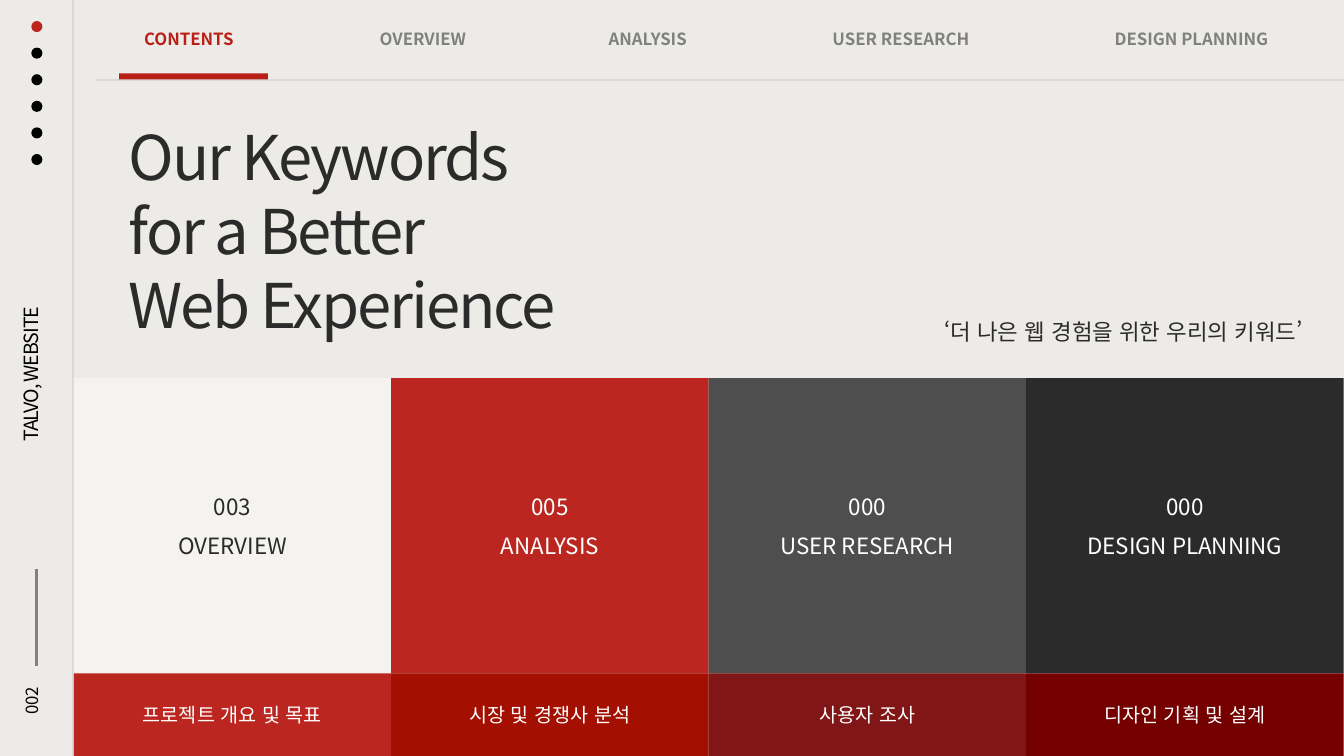
from typing import NamedTuple

from lxml import etree
from pptx import Presentation
from pptx.dml.color import RGBColor
from pptx.enum.lang import MSO_LANGUAGE_ID
from pptx.enum.shapes import MSO_CONNECTOR, MSO_SHAPE
from pptx.enum.text import MSO_ANCHOR, MSO_AUTO_SIZE, PP_ALIGN
from pptx.oxml.ns import qn
from pptx.util import Cm, Pt

RECTANGLE, OVAL = MSO_SHAPE.RECTANGLE, MSO_SHAPE.OVAL
STRAIGHT = MSO_CONNECTOR.STRAIGHT
TOP, MIDDLE = MSO_ANCHOR.TOP, MSO_ANCHOR.MIDDLE
LEFT, CENTER, RIGHT = PP_ALIGN.LEFT, PP_ALIGN.CENTER, PP_ALIGN.RIGHT
FIT_SHAPE = MSO_AUTO_SIZE.SHAPE_TO_FIT_TEXT
KOREAN = MSO_LANGUAGE_ID.KOREAN

FONT = "Noto Sans CJK KR"
PAPER = RGBColor(0xED, 0xEB, 0xE7)
IVORY = RGBColor(0xF4, 0xF3, 0xF0)
WHITE = RGBColor(0xFF, 0xFF, 0xFF)
BLACK = RGBColor(0x00, 0x00, 0x00)
INK = RGBColor(0x2B, 0x2B, 0x2B)
CHARCOAL = RGBColor(0x4E, 0x4E, 0x4E)
GRAY = RGBColor(0x80, 0x80, 0x80)
RULE = RGBColor(0xD9, 0xD9, 0xD9)
DOT_RED = RGBColor(0xBB, 0x25, 0x1E)
NAV_RED = RGBColor(0xB9, 0x1F, 0x17)
CARD_RED = RGBColor(0xBB, 0x27, 0x20)
BRICK = RGBColor(0xA3, 0x0F, 0x00)
WINE = RGBColor(0x80, 0x16, 0x16)
MAROON = RGBColor(0x75, 0x00, 0x00)

WIDTH, HEIGHT = 33.87, 19.05
DOT_COUNT, DOT_SIZE, DOT_PITCH = 6, 0.28, 0.67
CARD_LEFT, CARD_TOP, CARD_WIDTH, CARD_HEIGHT = 1.86, 9.53, 8.0, 7.44
FOOTER_TOP = CARD_TOP + CARD_HEIGHT
CARD_INSET = 1.03


class Box(NamedTuple):
    left: float
    top: float
    width: float
    height: float

    def lengths(self) -> list[Cm]:
        return [Cm(value) for value in self]


class Style(NamedTuple):
    size: float
    color: RGBColor
    bold: bool = False
    spacing: float = 0
    align: PP_ALIGN = LEFT
    anchor: MSO_ANCHOR = TOP
    gap: float = 0


class NavItem(NamedTuple):
    label: str
    left: float
    width: float
    color: RGBColor = GRAY


class Card(NamedTuple):
    number: str
    label: str
    caption: str
    fill: RGBColor
    footer_fill: RGBColor
    color: RGBColor = WHITE


NAV_ITEMS = [
    NavItem("CONTENTS", 3.38, 2.97, NAV_RED),
    NavItem("OVERVIEW", 9.32, 2.82),
    NavItem("ANALYSIS", 15.09, 2.69),
    NavItem("USER RESEARCH", 20.73, 4.14),
    NavItem("DESIGN PLANNING", 27.84, 4.52),
]
CARDS = [
    Card("003", "OVERVIEW", "프로젝트 개요 및 목표", IVORY, CARD_RED, INK),
    Card("005", "ANALYSIS", "시장 및 경쟁사 분석", CARD_RED, BRICK),
    Card("000", "USER RESEARCH", "사용자 조사", CHARCOAL, WINE),
    Card("000", "DESIGN PLANNING", "디자인 기획 및 설계", INK, MAROON),
]


def add_filled(shapes, kind: MSO_SHAPE, box: Box, color: RGBColor) -> None:
    shape = shapes.add_shape(kind, *box.lengths())
    shape.shadow.inherit = False
    shape.fill.solid()
    shape.fill.fore_color.rgb = color
    shape.line.fill.background()


def add_rule(shapes, start: tuple[float, float], end: tuple[float, float],
             color: RGBColor, weight: float) -> None:
    rule = shapes.add_connector(STRAIGHT, *[Cm(value) for value in start + end])
    rule.line.color.rgb = color
    rule.line.width = Pt(weight)
    etree.SubElement(rule._element.spPr, qn("a:effectLst"))


def add_text(shapes, box: Box, lines: list[str], style: Style, wrap: bool = True):
    shape = shapes.add_textbox(*box.lengths())
    frame = shape.text_frame
    frame.word_wrap = wrap
    frame.vertical_anchor = style.anchor
    if not wrap:
        frame.auto_size = FIT_SHAPE
    for index, line in enumerate(lines):
        para = frame.add_paragraph() if index else frame.paragraphs[0]
        para.alignment = style.align
        if index and style.gap:
            para.space_before = Pt(style.gap)
        span = para.add_run()
        span.text = line
        span.font.size = Pt(style.size)
        span.font.bold = style.bold
        span.font.color.rgb = style.color
        span.font.name = FONT
        span.font.language_id = KOREAN
        properties = span.font._element
        etree.SubElement(properties, qn("a:ea")).set("typeface", FONT)
        if style.spacing:
            properties.set("spc", str(round(style.spacing * 100)))
    return shape


def add_upward_text(shapes, box: Box, line: str, style: Style) -> None:
    """Add a line that reads from bottom to top."""
    shape = add_text(shapes, box, [line], style, wrap=False)
    shape.rotation = 180
    shape.text_frame._txBody.bodyPr.set("vert", "eaVert")


def add_sidebar(shapes) -> None:
    for index in range(DOT_COUNT):
        dot = Box(0.79, 0.53 + index * DOT_PITCH, DOT_SIZE, DOT_SIZE)
        add_filled(shapes, OVAL, dot, BLACK if index else DOT_RED)
    add_rule(shapes, (1.84, 0), (1.84, HEIGHT), RULE, 1.5)
    add_upward_text(shapes, Box(0.41, 17.17, 1.02, 1.09), "002", Style(12, BLACK))
    add_rule(shapes, (0.92, 14.34), (0.92, 16.79), GRAY, 2.25)
    add_upward_text(shapes, Box(0.36, 7.29, 1.12, 4.09), "TALVO, WEBSITE",
                    Style(14, BLACK, spacing=-0.8))


def add_navigation(shapes) -> None:
    add_rule(shapes, (2.4, 2.01), (WIDTH, 2.01), RULE, 1.5)
    for item in NAV_ITEMS:
        add_text(shapes, Box(item.left, 0.59, item.width, 0.76), [item.label],
                 Style(12, item.color, bold=True), wrap=False)
    add_filled(shapes, RECTANGLE, Box(3.0, 1.85, 3.75, 0.15), NAV_RED)


def add_card(shapes, left: float, card: Card) -> None:
    group = shapes.add_group_shape().shapes
    text_left, text_width = left + CARD_INSET, CARD_WIDTH - 2 * CARD_INSET
    add_filled(group, RECTANGLE, Box(left, CARD_TOP, CARD_WIDTH, CARD_HEIGHT), card.fill)
    add_filled(group, RECTANGLE,
               Box(left, FOOTER_TOP, CARD_WIDTH, HEIGHT - FOOTER_TOP), card.footer_fill)
    add_text(group, Box(text_left, 12.42, text_width, 1.68), [card.number, card.label],
             Style(16, card.color, align=CENTER, anchor=MIDDLE, gap=8.4))
    add_text(group, Box(text_left, 17.17, text_width, 1.68), [card.caption],
             Style(14, WHITE, align=CENTER, anchor=MIDDLE))


def main() -> None:
    deck = Presentation()
    deck.slide_width, deck.slide_height = Cm(WIDTH), Cm(HEIGHT)
    page = deck.slides.add_slide(deck.slide_layouts[6])
    page.background.fill.solid()
    page.background.fill.fore_color.rgb = PAPER
    add_sidebar(page.shapes)
    add_navigation(page.shapes)
    add_text(page.shapes, Box(3.0, 2.82, 14.17, 5.94),
             ["Our Keywords", "for a Better", "Web Experience"],
             Style(44, INK, spacing=-1.5, anchor=MIDDLE))
    add_text(page.shapes, Box(18.14, 7.77, 14.94, 1.19),
             ["‘더 나은 웹 경험을 위한 우리의 키워드’"],
             Style(16, INK, align=RIGHT, anchor=MIDDLE))
    for index, card in enumerate(CARDS):
        add_card(page.shapes, CARD_LEFT + index * CARD_WIDTH, card)
    deck.save("out.pptx")


if __name__ == "__main__":
    main()
